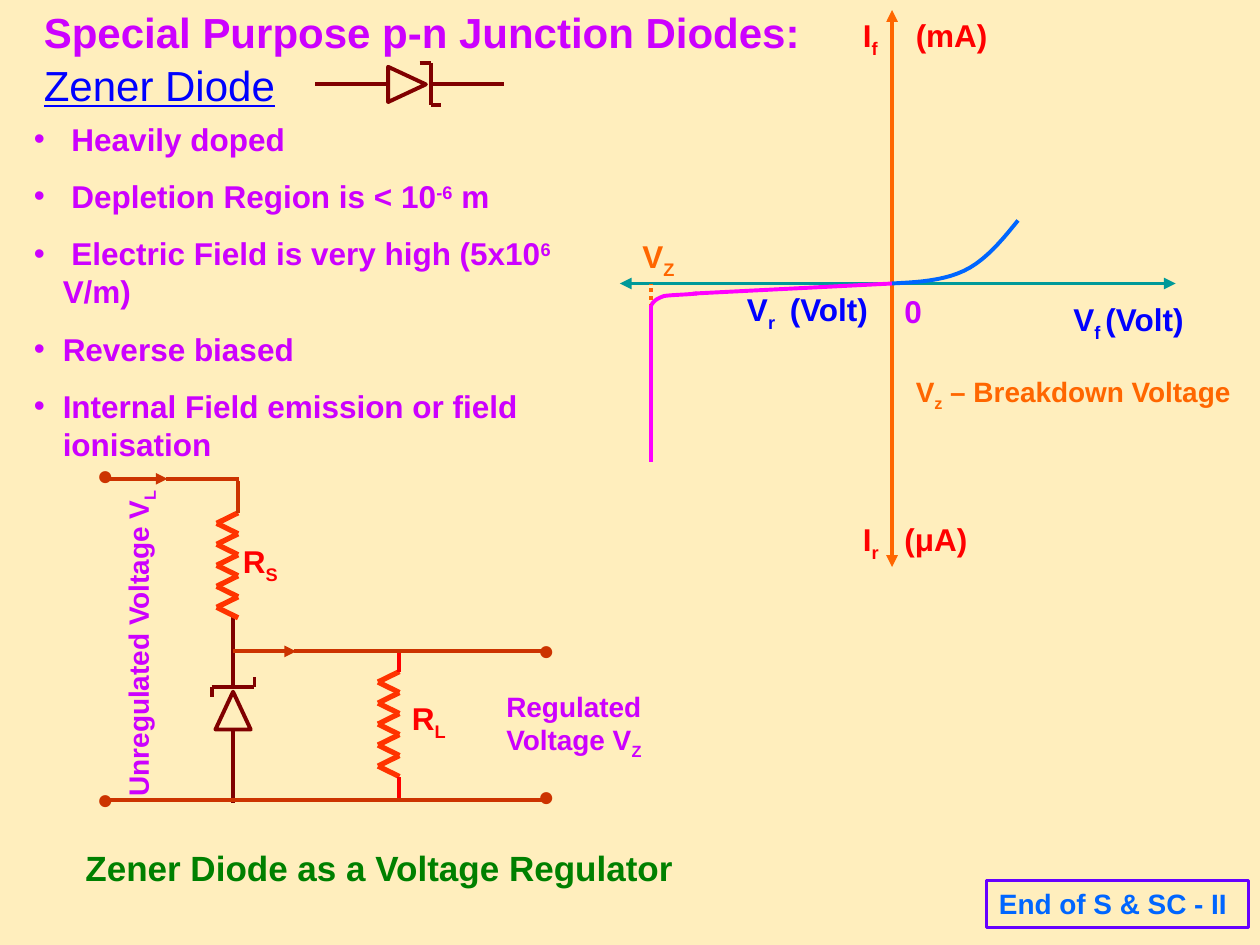
"""Build a slide on the Zener diode, its characteristic and its use as a regulator."""
import lxml.etree
import pptx
import pptx.dml.color
import pptx.enum.dml
import pptx.enum.shapes
import pptx.enum.text
import pptx.oxml.ns
import pptx.util

Inches = pptx.util.Inches
COLORS = {
    "background": "FFEEBD", "violet": "CC00FF", "blue": "0000FF", "red": "FF0000",
    "orange": "FF6600", "teal": "009999", "magenta": "FF00FF", "azure": "0066FF",
    "maroon": "800000", "green": "008000", "wire": "CC3300", "coil": "FF3300",
    "frame": "6600FF",
}
SUB, SUPER = -25000, 30000
BULLETS = [
    [(" Heavily doped", 0)],
    [(" Depletion Region is < 10", 0), ("-6", SUPER), (" m", 0)],
    [(" Electric Field is very high (5x10", 0), ("6", SUPER), (" V/m)", 0)],
    [("Reverse biased", 0)],
    [("Internal Field emission or field ionisation", 0)],
]


def rgb(name):
    """Return the named colour."""
    return pptx.dml.color.RGBColor.from_string(COLORS[name])


def add_node(parent, tag, **attributes):
    """Append a DrawingML element to a parent."""
    return lxml.etree.SubElement(parent, pptx.oxml.ns.qn(tag), attributes)


def style_outline(shape, color, width=2.25):
    """Give a shape a plain outline without fill or shadow."""
    shape.shadow.inherit = False
    shape.fill.background()
    shape.line.color.rgb = rgb(color)
    shape.line.width = pptx.util.Pt(width)


def add_spans(para, spans, size, color, bold, underline=False):
    """Fill a paragraph with (text, baseline) spans in one style."""
    for text, baseline in spans:
        span = para.add_run()
        span.text = text
        span.font.name = "Arial"
        span.font.size = pptx.util.Pt(size)
        span.font.bold = bold
        span.font.underline = underline
        span.font.color.rgb = rgb(color)
        if baseline:
            span.font._element.set("baseline", str(baseline))


def add_label(page, left, top, width, height, spans, size, color,
              bold=True, underline=False, wrap=True):
    """Add a one-paragraph text box."""
    box = page.shapes.add_textbox(Inches(left), Inches(top), Inches(width), Inches(height))
    box.text_frame.word_wrap = wrap
    box.text_frame.auto_size = pptx.enum.text.MSO_AUTO_SIZE.SHAPE_TO_FIT_TEXT
    add_spans(box.text_frame.paragraphs[0], spans, size, color, bold, underline)
    return box


def add_bullets(page):
    """Add the list of diode properties."""
    box = add_label(page, 0.17, 0.9, 4.83, 2.53, BULLETS[0], 18, "violet")
    for item in BULLETS[1:]:
        para = box.text_frame.add_paragraph()
        para.space_before = pptx.util.Pt(11.2)
        add_spans(para, item, 18, "violet", True)
    for para in box.text_frame.paragraphs:
        properties = para._p.get_or_add_pPr()
        properties.set("marL", str(Inches(0.23)))
        properties.set("indent", str(-Inches(0.23)))
        add_node(add_node(properties, "a:buClr"), "a:srgbClr", val=COLORS["violet"])
        add_node(properties, "a:buFont", typeface="Arial")
        add_node(properties, "a:buChar", char="•")


def add_line(page, start, end, color, width=2.25, arrows=(), dotted=False):
    """Add a straight line, with arrowheads at the ends listed."""
    line = page.shapes.add_connector(
        pptx.enum.shapes.MSO_CONNECTOR.STRAIGHT, *map(Inches, start + end))
    line.line.color.rgb = rgb(color)
    line.line.width = pptx.util.Pt(width)
    if dotted:
        line.line.dash_style = pptx.enum.dml.MSO_LINE.ROUND_DOT
    for arrow in arrows:
        add_node(line.line._get_or_add_ln(), arrow, type="triangle")
    add_node(line._element.spPr, "a:effectLst")


def add_curve(page, points, color, steps=10):
    """Draw joined cubic Bezier segments as a fine open outline."""
    vertices = []
    for first in range(0, len(points) - 1, 3):
        a, b, c, d = points[first:first + 4]
        for step in range(1, steps + 1):
            t = step / steps
            weights = ((1 - t) ** 3, 3 * t * (1 - t) ** 2, 3 * t ** 2 * (1 - t), t ** 3)
            vertices.append(tuple(
                Inches(sum(w * p[axis] for w, p in zip(weights, (a, b, c, d))))
                for axis in (0, 1)))
    builder = page.shapes.build_freeform(*map(Inches, points[0]))
    builder.add_line_segments(vertices, close=False)
    style_outline(builder.convert_to_shape(), color)


def add_triangle(page, left, top, rotation=0):
    """Add the triangle of a diode symbol."""
    shape = page.shapes.add_shape(
        pptx.enum.shapes.MSO_SHAPE.ISOSCELES_TRIANGLE,
        Inches(left), Inches(top), Inches(0.28), Inches(0.3))
    shape.rotation = rotation
    style_outline(shape, "maroon")


def add_resistor(page, left, top):
    """Add a vertical zigzag of ten strokes."""
    corners = [(left + (0 if i % 2 else 0.17), top + i / 12) for i in range(11)]
    for start, end in zip(corners, corners[1:]):
        add_line(page, start, end, "coil", 3)


def add_characteristic(page):
    """Draw the current-voltage graph with its labels."""
    both = ("a:headEnd", "a:tailEnd")
    add_line(page, (7.08, 4.5), (7.08, 0.08), "orange", arrows=both)
    add_line(page, (4.92, 2.25), (9.33, 2.25), "teal", arrows=both)
    add_line(page, (5.17, 3.25), (5.17, 2.25), "orange", dotted=True)
    add_line(page, (7.08, 2.25), (5.5, 2.33), "magenta")
    add_curve(page, [(5.53, 2.33), (5.43, 2.34), (5.33, 2.34), (5.27, 2.35),
                     (5.21, 2.37), (5.19, 2.39), (5.17, 2.42)], "magenta")
    add_line(page, (5.17, 2.42), (5.17, 3.67), "magenta")
    add_curve(page, [(7.08, 2.25), (7.28, 2.24), (7.48, 2.23), (7.65, 2.15),
                     (7.82, 2.07), (7.95, 1.91), (8.08, 1.75)], "azure")
    for left, top, width, height, spans, color in (
            (8.42, 2.33, 1.33, 0.44, [("V", 0), ("f ", SUB), ("(Volt)", 0)], "blue"),
            (6.75, 0.08, 0.42, 0.44, [("I", 0), ("f", SUB)], "red"),
            (7.17, 0.08, 0.83, 0.4, [("(mA)", 0)], "red"),
            (6.75, 4.08, 0.42, 0.44, [("I", 0), ("r", SUB)], "red"),
            (7.08, 4.08, 0.75, 0.4, [("(μA)", 0)], "red"),
            (5.83, 2.25, 0.58, 0.44, [("V", 0), ("r", SUB)], "blue"),
            (6.17, 2.25, 0.92, 0.4, [("(Volt)", 0)], "blue"),
            (5, 1.83, 0.58, 0.44, [("V", 0), ("Z", SUB)], "orange"),
            (7.08, 2.27, 0.42, 0.4, [("0", 0)], "violet")):
        add_label(page, left, top, width, height, spans, 18, color)
    add_label(page, 7.17, 2.92, 2.83, 0.41,
              [("V", 0), ("z", SUB), (" – Breakdown Voltage", 0)], 16, "orange")


def add_diodes(page):
    """Draw the title symbol and the diode of the circuit."""
    add_triangle(page, 3.09, 0.52, 90)
    add_triangle(page, 1.71, 5.49)
    for start, end in (
            ((3.42, 0.5), (3.42, 0.83)), ((3.33, 0.5), (3.42, 0.5)),
            ((3.42, 0.83), (3.5, 0.83)), ((2.5, 0.67), (3.08, 0.67)),
            ((3.42, 0.67), (4, 0.67)), ((1.68, 5.45), (2.02, 5.45)),
            ((1.68, 5.53), (1.68, 5.45)), ((2.02, 5.45), (2.02, 5.37)),
            ((1.85, 6.37), (1.85, 5.78)), ((1.85, 5.45), (1.85, 4.87))):
        add_line(page, start, end, "maroon")


def add_circuit(page):
    """Draw the wires, resistors, terminals and labels of the regulator."""
    add_resistor(page, 3, 5.33)
    add_resistor(page, 1.72, 4.07)
    for top in (5.17, 6.17):
        add_line(page, (3.17, top), (3.17, top + 0.16), "red")
    for start, end in (((1.89, 3.82), (1.89, 4.07)), ((1.32, 3.8), (1.9, 3.8)),
                       ((0.83, 6.35), (4.33, 6.35)), ((2.33, 5.17), (4.33, 5.17))):
        add_line(page, start, end, "wire")
    for left, top in ((0.83, 3.8), (1.85, 5.17)):
        add_line(page, (left, top), (left + 0.5, top), "wire", arrows=("a:tailEnd",))
    for left, top in ((0.67, 3.58), (0.67, 6.15), (4.17, 4.97), (4.17, 6.13)):
        add_label(page, left, top, 0.33, 0.37, [("●", 0)], 16, "wire", False, wrap=False)
    for left, top, index in ((3.17, 5.5, "L"), (1.83, 4.25, "S")):
        add_label(page, left, top, 0.58, 0.44, [("R", 0), (index, SUB)], 18, "red")
    box = add_label(page, -0.26, 4.84, 2.75, 0.41,
                    [("Unregulated Voltage V", 0), ("L", SUB)], 16, "violet")
    box.rotation = 270
    add_label(page, 3.92, 5.42, 1.42, 0.67,
              [("Regulated Voltage V", 0), ("Z", SUB)], 16, "violet")


def main():
    """Assemble and save the deck."""
    deck = pptx.Presentation()
    deck.slide_width, deck.slide_height = Inches(10), Inches(7.5)
    page = deck.slides.add_slide(deck.slide_layouts[6])
    page.background.fill.solid()
    page.background.fill.fore_color.rgb = rgb("background")
    add_label(page, 0.25, 0, 6.5, 0.5,
              [("Special Purpose p-n Junction Diodes:", 0)], 24, "violet")
    add_label(page, 0.25, 0.42, 2.33, 0.5, [("Zener Diode", 0)], 24, "blue", False, True)
    add_characteristic(page)
    add_diodes(page)
    add_label(page, 0.58, 6.67, 5.17, 0.44,
              [("Zener Diode as a Voltage Regulator", 0)], 20, "green")
    add_circuit(page)
    add_bullets(page)
    box = add_label(page, 7.83, 6.99, 2.08, 0.37, [("End of S & SC - II", 0)], 16, "azure")
    box.line.color.rgb = rgb("frame")
    box.line.width = pptx.util.Pt(1.5)
    deck.save("out.pptx")


if __name__ == "__main__":
    main()
